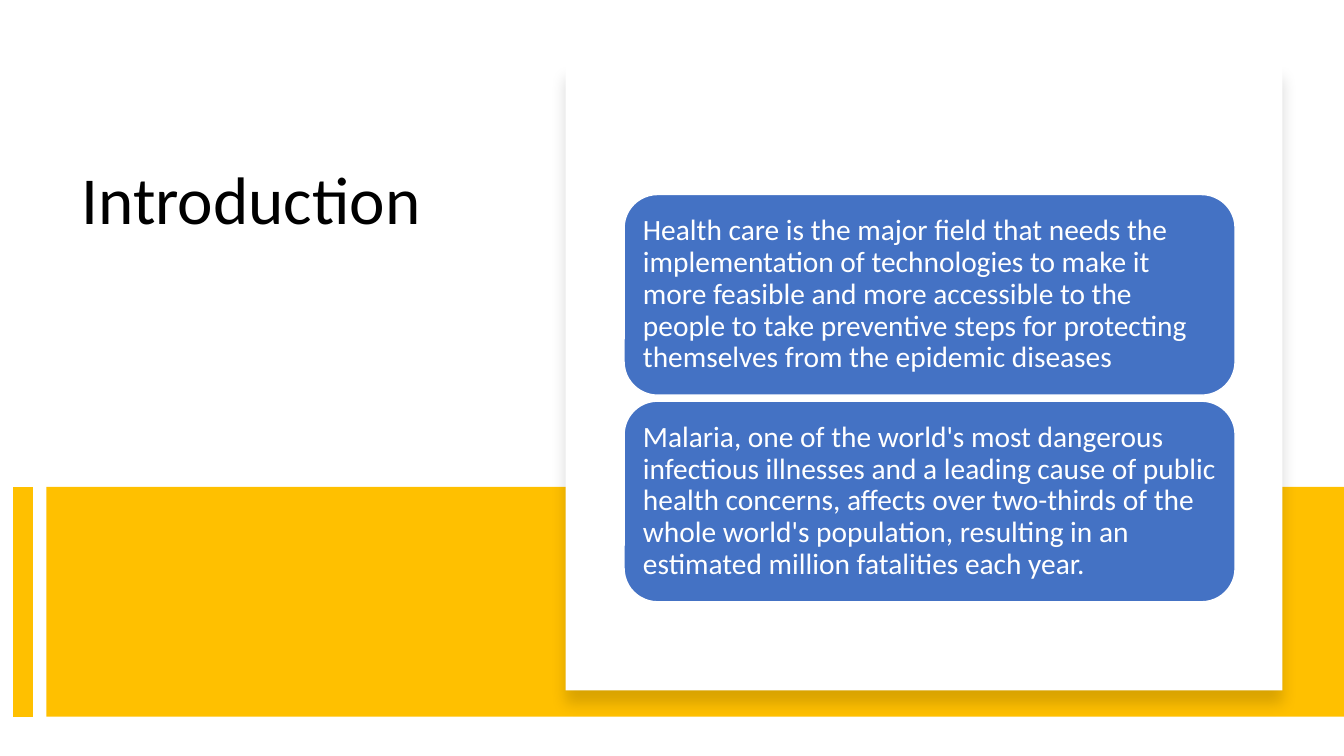
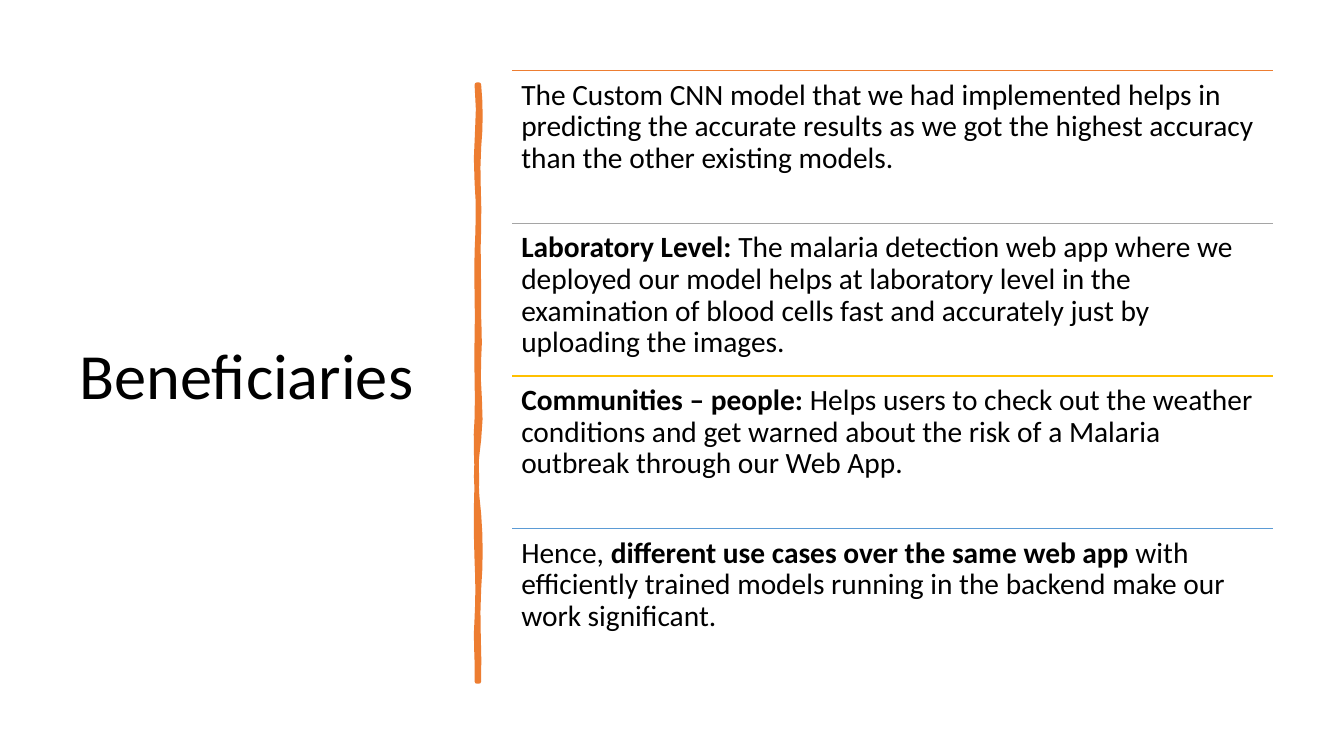
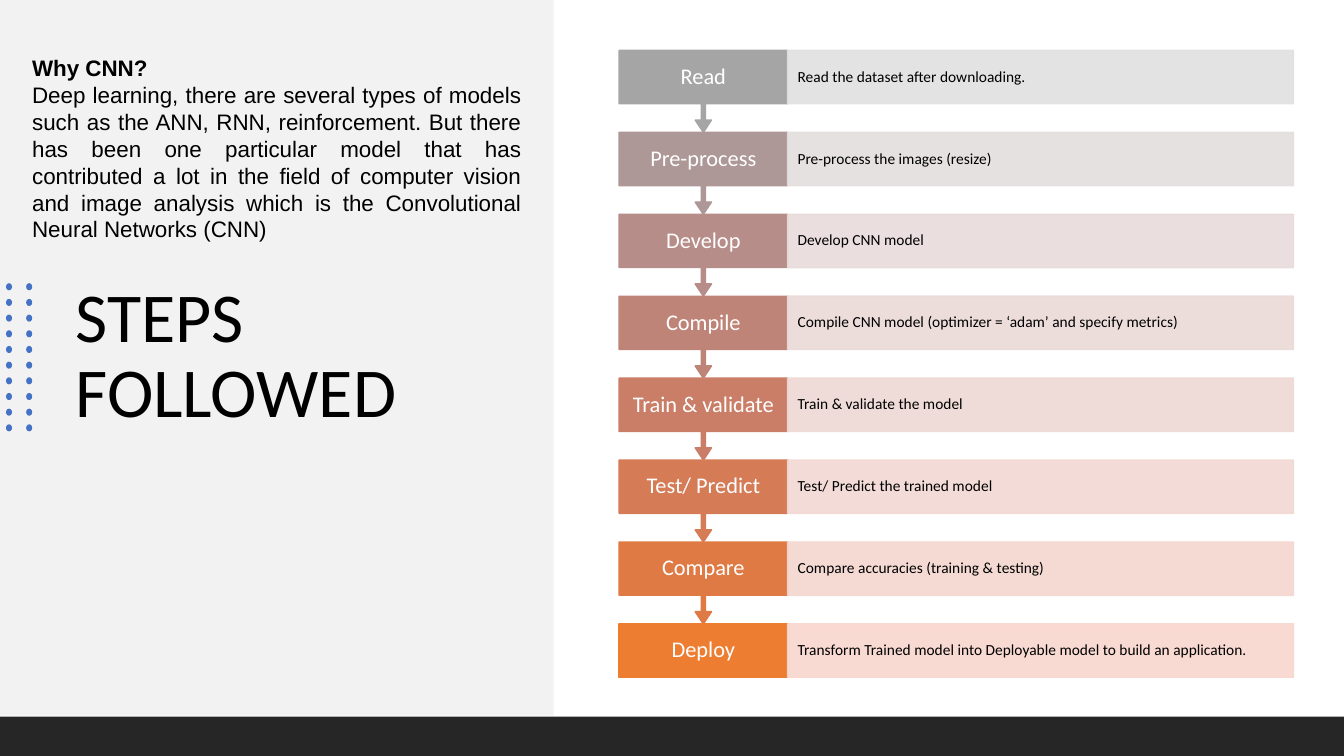
from lxml import etree
from pptx import Presentation
from pptx.dml.color import RGBColor
from pptx.enum.shapes import MSO_CONNECTOR, MSO_SHAPE
from pptx.enum.text import MSO_ANCHOR, MSO_AUTO_SIZE, PP_ALIGN
from pptx.oxml.ns import qn
from pptx.util import Inches, Pt

RECT = MSO_SHAPE.RECTANGLE
ROUNDED = MSO_SHAPE.ROUNDED_RECTANGLE
DOT = MSO_SHAPE.OVAL
CALLOUT = MSO_SHAPE.DOWN_ARROW_CALLOUT
STRAIGHT = MSO_CONNECTOR.STRAIGHT
TOP, MIDDLE = MSO_ANCHOR.TOP, MSO_ANCHOR.MIDDLE
LEFT, CENTER, JUSTIFY = PP_ALIGN.LEFT, PP_ALIGN.CENTER, PP_ALIGN.JUSTIFY
NO_FIT = MSO_AUTO_SIZE.NONE

SLIDE_W, SLIDE_H = 13.33, 7.5
TITLE_ONLY = 5
BLACK, WHITE = "000000", "FFFFFF"
BLUE, ORANGE, GRAY, GOLD, SKY = "4472C4", "ED7D31", "A5A5A5", "FFC000", "5B9BD5"
PALE, DARK = "F2F2F2", "262626"

FACTS = [
    "Health care is the major field that needs the implementation of technologies "
    "to make it more feasible and more accessible to the people to take preventive "
    "steps for protecting themselves from the epidemic diseases",
    "Malaria, one of the world's most dangerous infectious illnesses and a leading "
    "cause of public health concerns, affects over two-thirds of the whole world's "
    "population, resulting in an estimated million fatalities each year.",
]

BENEFITS = [
    (ORANGE, [("The Custom CNN model that we had implemented helps in predicting the "
               "accurate results as we got the highest accuracy than the other "
               "existing models.", False)]),
    (GRAY, [("Laboratory Level: ", True),
            ("The malaria detection web app where we deployed our model helps at "
             "laboratory level in the examination of blood cells fast and accurately "
             "just by uploading the images.", False)]),
    (GOLD, [("Communities – people: ", True),
            ("Helps users to check out the weather conditions and get warned about "
             "the risk of a Malaria outbreak through our Web App.", False)]),
    (SKY, [("Hence, ", False),
           ("different use cases over the same web app ", True),
           ("with efficiently trained models running in the backend make our work "
            "significant.", False)]),
]

STEPS = [
    ("Read", "Read the dataset after downloading.", GRAY, "E1E1E1"),
    ("Pre-process", "Pre-process the images (resize)", "AD9897", "E4DEDE"),
    ("Develop", "Develop CNN model", "B68D88", "E8DCDB"),
    ("Compile", "Compile CNN model (optimizer = ‘adam’ and specify metrics)",
     "BF8478", "EBDAD8"),
    ("Train & validate", "Train & validate the model", "CA7E67", "EED9D5"),
    ("Test/ Predict", "Test/ Predict the trained model", "D57B56", "F2D8D3"),
    ("Compare", "Compare accuracies (training & testing)", "E07A44", "F5D7D0"),
    ("Deploy", "Transform Trained model into Deployable model to build an application.",
     ORANGE, "F8D7CE"),
]

WHY_CNN = [
    [("Why CNN?", True)],
    [("Deep learning, there are several types of models such as the ANN, RNN, "
      "reinforcement. But there has been one particular model that has contributed a "
      "lot in the field of computer vision and image analysis which is the "
      "Convolutional Neural Networks (CNN)", False)],
]

STROKE_RIGHT = [(0.62, 2, 2), (1.42, -2, 1), (2.1, -1, 0), (2.72, -1, 2),
                (3.52, -2, 4), (4.26, -4, -3), (5, 2, 2), (5.92, -2, 1)]
STROKE_LEFT = [(5.29, 1, -2), (4.73, 1, 1), (3.93, -1, -1), (3.31, 0, -2),
               (2.51, 1, -1), (1.66, 1, -1), (0.97, 1, 2), (0, -3, 4)]


def color(value):
    return RGBColor.from_string(value)


def inches(box):
    return [Inches(length) for length in box]


def write(frame, paragraphs, size=21, ink=BLACK, font="Calibri", align=LEFT,
          anchor=TOP, spacing=0.9, margins=(0.09, 0.09)):
    frame.word_wrap = True
    frame.auto_size = NO_FIT
    frame.vertical_anchor = anchor
    frame.margin_left = frame.margin_right = Inches(margins[0])
    frame.margin_top = frame.margin_bottom = Inches(margins[1])
    for index, runs in enumerate(paragraphs):
        paragraph = frame.add_paragraph() if index else frame.paragraphs[0]
        paragraph.alignment = align
        paragraph.line_spacing = spacing
        for words, bold in runs:
            run = paragraph.add_run()
            run.text = words
            run.font.name, run.font.size, run.font.bold = font, Pt(size), bold
            run.font.color.rgb = color(ink)


def text_box(slide, box, paragraphs, **style):
    write(slide.shapes.add_textbox(*inches(box)).text_frame, paragraphs, **style)


def shape(slide, kind, box, fill, outline=None, opacity=None):
    item = slide.shapes.add_shape(kind, *inches(box))
    item.shadow.inherit = False
    item.fill.solid()
    item.fill.fore_color.rgb = color(fill)
    if outline:
        item.line.color.rgb = color(outline)
        item.line.width = Pt(1)
    else:
        item.line.fill.background()
    if opacity:
        for tone in item.element.spPr.iter(qn("a:srgbClr")):
            etree.SubElement(tone, qn("a:alpha"), val=str(opacity * 1000))
    return item


def rule(slide, start, end, ink, width):
    line = slide.shapes.add_connector(STRAIGHT, *inches(start + end))
    line.line.color.rgb = color(ink)
    line.line.width = Pt(width)
    etree.SubElement(line.element.spPr, qn("a:effectLst"))


def soft_shadow(item):
    effects = item.element.spPr.find(qn("a:effectLst"))
    outer = etree.SubElement(effects, qn("a:outerShdw"), blurRad=str(Pt(11)),
                             dist=str(Pt(10)), dir="5400000", algn="t",
                             rotWithShape="0")
    tone = etree.SubElement(outer, qn("a:srgbClr"), val=BLACK)
    etree.SubElement(tone, qn("a:alpha"), val="15000")


def title(slide, box, words, size, anchor=MIDDLE):
    heading = slide.shapes.title
    heading.left, heading.top, heading.width, heading.height = inches(box)
    write(heading.text_frame, [[(words, False)]], size=size, anchor=anchor,
          margins=(0.1, 0.05))
    heading.element.getparent().append(heading.element)


def gold_band(slide, top, height):
    shape(slide, RECT, (0.46, top, SLIDE_W - 0.46, height), GOLD)
    rule(slide, (0.23, top), (0.23, top + height), GOLD, 14)


def fact_panel(slide, left, top, width, height):
    soft_shadow(shape(slide, RECT, (left, top, width, height), WHITE))
    for index, fact in enumerate(FACTS):
        box = (left + 0.58, top + 1.29 + index * 2.05, 6.06, 1.99)
        card = shape(slide, ROUNDED, box, BLUE, WHITE)
        write(card.text_frame, [[(fact, False)]], ink=WHITE, anchor=MIDDLE)


def stroke_edge(left, top, start, bends):
    points = []
    for end, first, second in bends:
        for t in (0.25, 0.5, 0.75, 1):
            bulge = 3 * t * (1 - t) * ((1 - t) * first + t * second) / 100
            points.append((Inches(left + bulge), Inches(top + start + t * (end - start))))
        start = end
    return points


def brush_stroke(slide, left, top, width, height):
    points = stroke_edge(left + width, top, 0, STROKE_RIGHT)
    points.append((Inches(left), Inches(top + height)))
    points += stroke_edge(left, top, height, STROKE_LEFT)
    builder = slide.shapes.build_freeform(Inches(left + width), Inches(top))
    builder.add_line_segments(points, close=True)
    stroke = builder.convert_to_shape()
    stroke.shadow.inherit = False
    stroke.fill.solid()
    stroke.fill.fore_color.rgb = color(ORANGE)
    stroke.line.color.rgb = color(ORANGE)
    stroke.line.width = Pt(3.25)


def benefit_list(slide, left, top, width, height):
    row = height / len(BENEFITS)
    for index, (accent, runs) in enumerate(BENEFITS):
        y = top + index * row
        rule(slide, (left, y), (left + width, y), accent, 1)
        text_box(slide, (left, y, width, row), [runs])


def dot_grid(slide, left, top, rows=10, columns=2):
    for row in range(rows):
        for column in range(columns):
            box = (left + column * 0.2, top + row * 1.4 / (rows - 1), 0.06, 0.07)
            shape(slide, DOT, box, BLUE)


def step_flow(slide, left, top, width, height):
    bar = 0.53
    pitch = (height - bar) / (len(STEPS) - 1)
    label = width / 4
    for index, (name, detail, strong, tint) in enumerate(STEPS):
        y = top + index * pitch
        if index < len(STEPS) - 1:
            step = shape(slide, CALLOUT, (left, y, label, pitch), strong, strong)
            for position, value in enumerate((0.05, 0.1, 0.15, 0.65)):
                step.adjustments[position] = value
        else:
            step = shape(slide, RECT, (left, y, label, bar), strong, strong)
        write(step.text_frame, [[(name, False)]], size=16, ink=WHITE,
              align=CENTER, anchor=MIDDLE, margins=(0.12, 0.12))
        note = shape(slide, RECT, (left + label, y, width - label, bar), tint, tint,
                     opacity=90)
        write(note.text_frame, [[(detail, False)]], size=11, anchor=MIDDLE,
              margins=(0.1, 0.15))


def introduction(slide):
    gold_band(slide, 4.83, 2.28)
    title(slide, (0.71, 1.6, 4.15, 2.94), "Introduction", 48, TOP)
    fact_panel(slide, 5.61, 0.64, 7.11, 6.21)


def beneficiaries(slide):
    title(slide, (0.69, 0.7, 3.74, 6.11), "Beneficiaries", 46)
    brush_stroke(slide, 4.73, 0.84, 0.02, 5.92)
    benefit_list(slide, 5.08, 0.7, 7.55, 6.06)


def steps_followed(slide):
    shape(slide, RECT, (0, 0, 5.49, 7.1), PALE)
    title(slide, (0.65, 1.32, 4.24, 4.45), "STEPS FOLLOWED", 50)
    dot_grid(slide, 0.06, 2.81)
    shape(slide, RECT, (0, 7.11, SLIDE_W, SLIDE_H - 7.11), DARK)
    step_flow(slide, 6.14, 0.5, 6.69, 6.22)
    text_box(slide, (0.22, 0.49, 5.05, 2.26), WHY_CNN, size=16, font="Arial",
             align=JUSTIFY, spacing=1, margins=(0.1, 0.05))


def main():
    deck = Presentation()
    deck.slide_width, deck.slide_height = Inches(SLIDE_W), Inches(SLIDE_H)
    for build in (introduction, beneficiaries, steps_followed):
        build(deck.slides.add_slide(deck.slide_layouts[TITLE_ONLY]))
    deck.save("out.pptx")


if __name__ == "__main__":
    main()
